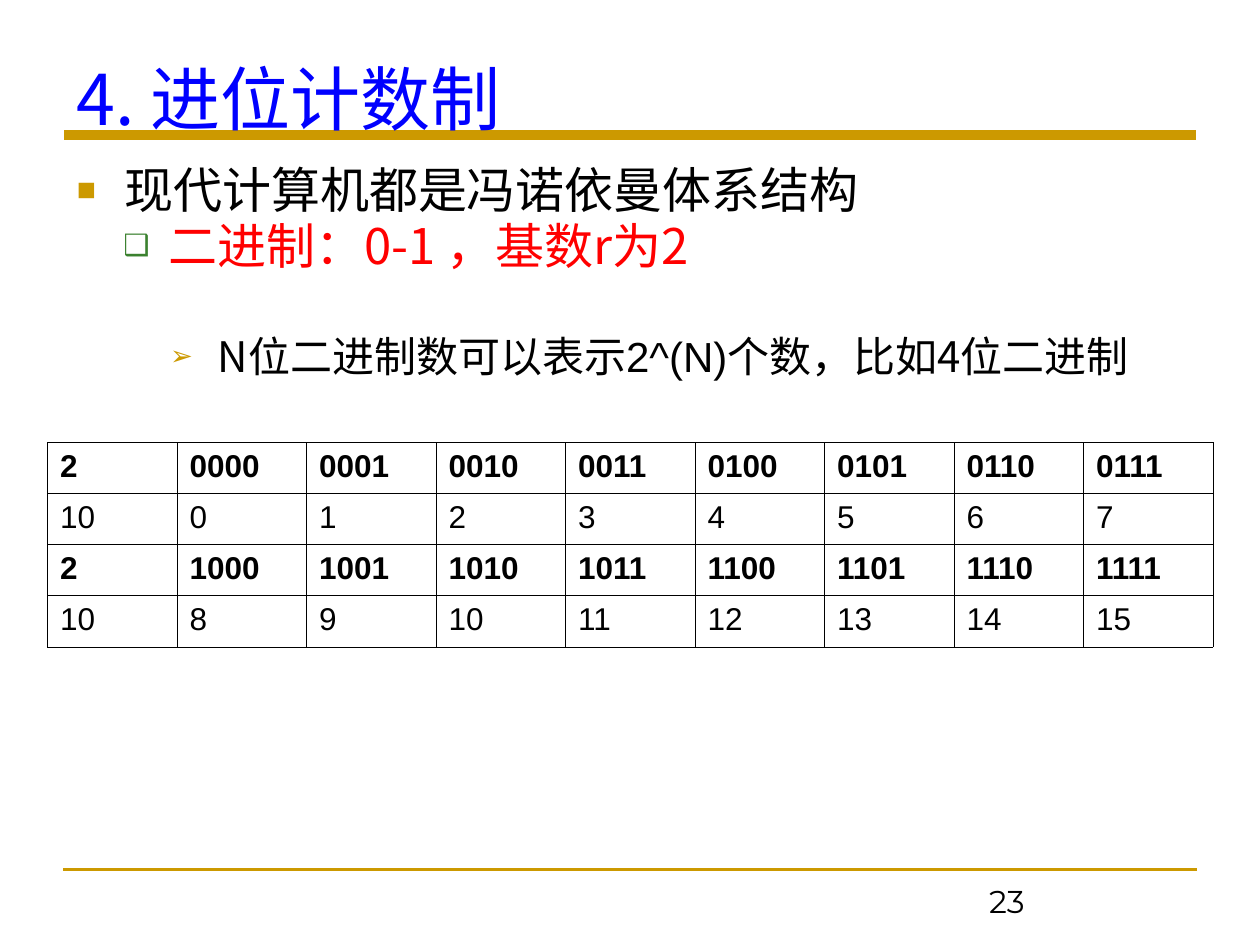
from lxml import etree
from pptx import Presentation
from pptx.dml.color import RGBColor
from pptx.enum import shapes, text
from pptx.oxml import ns
from pptx.util import Cm, Pt

HUES = {"gold": "CC9900", "blue": "0000FF", "red": "FF0000",
        "green": "3B812F", "black": "000000", "white": "FFFFFF"}
HAN = "Noto Sans CJK SC"
SANS = "Arial"


def rgb(hue):
    return RGBColor.from_string(HUES[hue])


def add(node, tag, **attrs):
    return etree.SubElement(node, ns.qn(tag), attrs)


def style(run, size, face, hue, bold=False):
    font = run.font
    font.size, font.name, font.bold = Pt(size), face, bold
    font.color.rgb = rgb(hue)
    add(font._element, "a:ea", typeface=face)


def rule(slide, left, right, y, width):
    line = slide.shapes.add_connector(
        shapes.MSO_CONNECTOR.STRAIGHT, Cm(left), Cm(y), Cm(right), Cm(y))
    line.line.color.rgb = rgb("gold")
    line.line.width = Pt(width)
    add(line._element.spPr, "a:effectLst")


def frame(slide, left, top, width, height):
    box = slide.shapes.add_textbox(Cm(left), Cm(top), Cm(width), Cm(height))
    box.text_frame.word_wrap = True
    return box.text_frame


def label(slide, place, words, size, face, hue):
    area = frame(slide, *place)
    area.vertical_anchor = text.MSO_ANCHOR.MIDDLE
    area.text = words
    style(area.paragraphs[0].runs[0], size, face, hue)


def bullet(para, mark, hue, scale, left, hang):
    """Give the paragraph a hanging bullet; scale is a percentage."""
    props = para._p.get_or_add_pPr()
    props.set("marL", str(Cm(left)))
    props.set("indent", str(-Cm(hang)))
    add(add(props, "a:buClr"), "a:srgbClr", val=HUES[hue])
    add(props, "a:buSzPct", val=str(scale * 1000))
    add(props, "a:buFont", typeface=SANS)
    add(props, "a:buChar", char=mark)


def points(slide):
    area = frame(slide, 1.3, 3.33, 22.86, 14)
    # level, space before, size, hue, bullet settings, (words, face) parts
    rows = [
        (0, 0, 28, "black", ("■", "gold", 65, 0.96, 0.96),
         [("现代计算机都是冯诺依曼体系结构", HAN)]),
        (1, 5, 28, "red", ("❑", "green", 60, 1.85, 0.91),
         [("二进制：0-1 ，基数r为2", HAN)]),
        (2, 38, 24, "black", ("➢", "gold", 65, 2.84, 0.96),
         [("N位二进制数可以表示", HAN), ("2^(N)", SANS),
          ("个数，比如4位二进制", HAN)]),
    ]
    for n, (level, gap, size, hue, mark, parts) in enumerate(rows):
        para = area.paragraphs[0] if n == 0 else area.add_paragraph()
        para.level = level
        para.line_spacing = 0.8
        para.space_before = Pt(gap)
        bullet(para, *mark)
        for words, face in parts:
            run = para.add_run()
            run.text = words
            style(run, size, face, hue)


def border(cell):
    props = cell._tc.get_or_add_tcPr()
    for side in "LRTB":
        edge = add(props, "a:ln" + side, w=str(Pt(0.45)))
        add(add(edge, "a:solidFill"), "a:srgbClr", val=HUES["black"])


def codes(slide):
    """Table of the 4-bit numbers with their decimal values."""
    rows = []
    for half in (range(8), range(8, 16)):
        rows.append(["2"] + [f"{n:04b}" for n in half])
        rows.append(["10"] + [str(n) for n in half])
    grid = slide.shapes.add_table(
        4, 9, Cm(0.96), Cm(8.92), Cm(23.49), Cm(4.12)).table
    grid.first_row = grid.horz_banding = False
    for r, row in enumerate(rows):
        for c, words in enumerate(row):
            cell = grid.cell(r, c)
            cell.text = words
            style(cell.text_frame.paragraphs[0].runs[0], 18, SANS, "black",
                  bold=r % 2 == 0)
            border(cell)
            cell.fill.solid()
            cell.fill.fore_color.rgb = rgb("white")


def main():
    deck = Presentation()
    deck.slide_width, deck.slide_height = Cm(25.4), Cm(19.05)
    slide = deck.slides.add_slide(deck.slide_layouts[6])
    rule(slide, 1.27, 24.13, 17.53, 1.5)
    rule(slide, 1.3, 24.1, 2.72, 6)
    label(slide, (1.3, 0.84, 22.86, 2.24), "4. 进位计数制", 40, HAN, "blue")
    points(slide)
    label(slide, (19.69, 17.65, 5.71, 1.02), "23", 18, "Montserrat", "black")
    codes(slide)
    deck.save("out.pptx")


if __name__ == "__main__":
    main()
